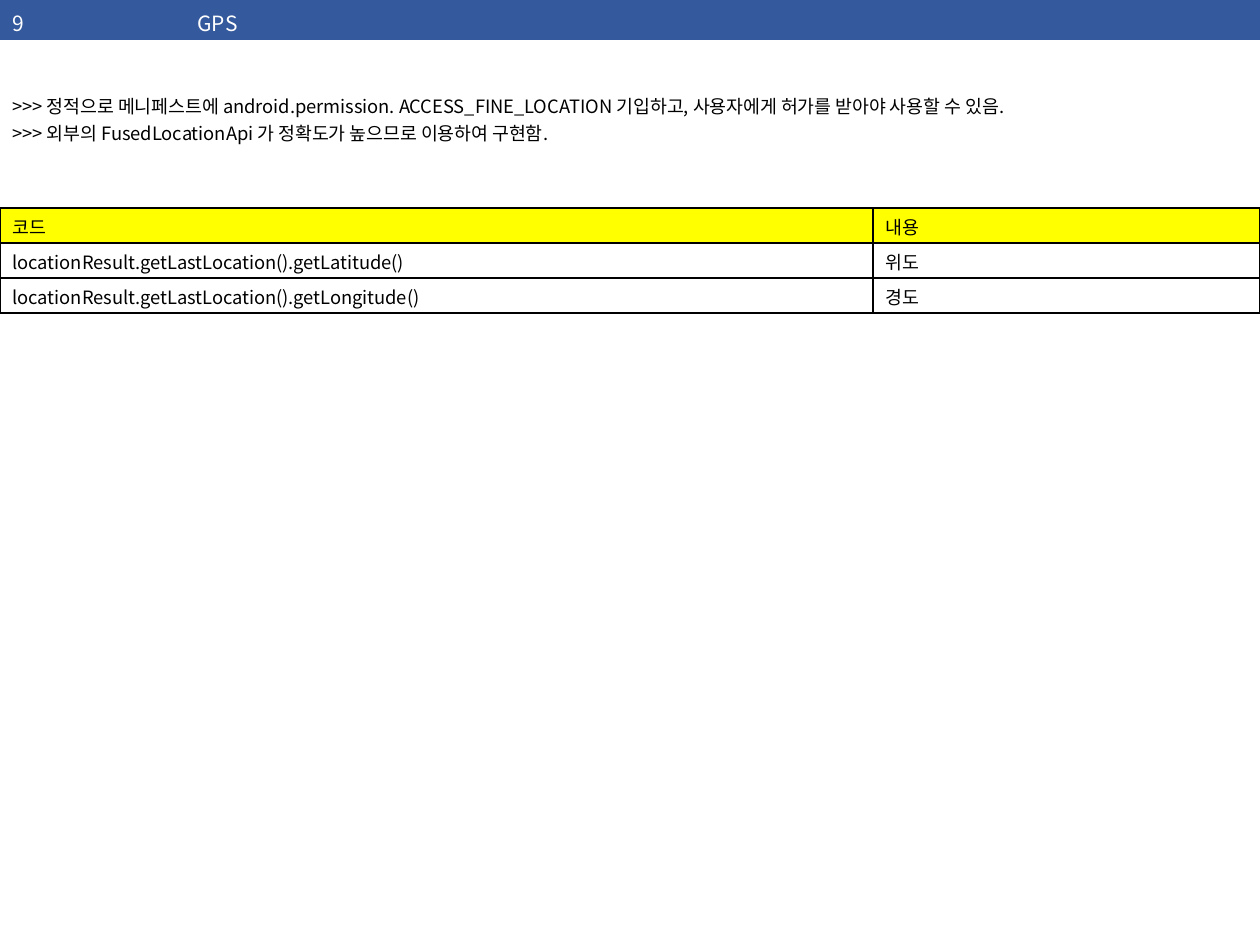
from dataclasses import dataclass

import pptx
import pptx.dml.color
import pptx.enum.text
import pptx.oxml
import pptx.oxml.ns
import pptx.util

PX = 914400 // 126
FONT = "Noto Sans CJK KR"
BLACK, WHITE, BLUE, YELLOW = "000000", "FFFFFF", "34599C", "FFFF00"
MIDDLE = pptx.enum.text.MSO_ANCHOR.MIDDLE
TOP = pptx.enum.text.MSO_ANCHOR.TOP


@dataclass
class Grid:
    top: int
    row_height: int
    columns: list[int]
    rows: list[list[str]]
    header_fill: str
    size: float
    color: str
    borders: dict[str, str]
    border_width: float


def px(n: int) -> int:
    return n * PX


def rgb(value: str) -> pptx.dml.color.RGBColor:
    return pptx.dml.color.RGBColor.from_string(value)


def write(p, text: str, *, size: float, color: str, spacing: float = 1.0) -> None:
    p.line_spacing = spacing
    r = p.add_run()
    r.text = text
    r.font.name = FONT
    r.font.size = pptx.util.Pt(size)
    r.font.color.rgb = rgb(color)
    ea = pptx.oxml.parse_xml(f'<a:ea {pptx.oxml.ns.nsdecls("a")} typeface="{FONT}"/>')
    r.font._element.find(pptx.oxml.ns.qn("a:latin")).addnext(ea)


def set_borders(cell, borders: dict[str, str], width: float) -> None:
    props = cell._tc.get_or_add_tcPr()
    for i, side in enumerate("LRTB"):
        color = borders.get(side)
        paint = f'<a:solidFill><a:srgbClr val="{color}"/></a:solidFill>' if color else "<a:noFill/>"
        props.insert(i, pptx.oxml.parse_xml(
            f'<a:ln{side} {pptx.oxml.ns.nsdecls("a")} w="{pptx.util.Pt(width)}">{paint}</a:ln{side}>'))


def draw_grid(s, grid: Grid) -> None:
    frame = s.shapes.add_table(
        len(grid.rows), len(grid.columns), 0, px(grid.top),
        px(sum(grid.columns)), px(grid.row_height * len(grid.rows)))
    table = frame.table
    table.horz_banding = False
    for column, width in zip(table.columns, grid.columns):
        column.width = px(width)
    for i, values in enumerate(grid.rows):
        table.rows[i].height = px(grid.row_height)
        for j, text in enumerate(values):
            cell = table.cell(i, j)
            cell.margin_top, cell.margin_bottom = px(5), px(3)
            cell.vertical_anchor = TOP if i else MIDDLE
            if i:
                cell.fill.background()
            else:
                cell.fill.solid()
                cell.fill.fore_color.rgb = rgb(grid.header_fill)
            set_borders(cell, grid.borders, grid.border_width)
            write(cell.text_frame.paragraphs[0], text, size=grid.size, color=grid.color)


def draw_notes(s, lines: list[str]) -> None:
    tf = s.shapes.add_textbox(0, px(91), px(1260), px(68)).text_frame
    tf.word_wrap = True
    tf.margin_top = px(4)
    tf.margin_bottom = px(4)
    for i, line in enumerate(lines):
        p = tf.add_paragraph() if i else tf.paragraphs[0]
        write(p, line, size=10.5, color=BLACK, spacing=1.25 if i else 1.0)


def main() -> None:
    prs = pptx.Presentation()
    prs.slide_width = pptx.util.Inches(10)
    prs.slide_height = pptx.util.Inches(7.5)
    s = prs.slides.add_slide(prs.slide_layouts[6])
    draw_grid(s, Grid(
        top=0, row_height=42, columns=[185, 1075], rows=[["9", "GPS"]],
        header_fill=BLUE, size=12, color=WHITE,
        borders={"B": WHITE}, border_width=2))
    draw_notes(s, [
        ">>> 정적으로 메니페스트에 android.permission. ACCESS_FINE_LOCATION 기입하고, "
        "사용자에게 허가를 받아야 사용할 수 있음.",
        ">>> 외부의 FusedLocationApi 가 정확도가 높으므로 이용하여 구현함.",
    ])
    draw_grid(s, Grid(
        top=208, row_height=35, columns=[873, 387],
        rows=[
            ["코드", "내용"],
            ["locationResult.getLastLocation().getLatitude()", "위도"],
            ["locationResult.getLastLocation().getLongitude()", "경도"],
        ],
        header_fill=YELLOW, size=10.5, color=BLACK,
        borders=dict.fromkeys("LRTB", BLACK), border_width=1))
    prs.save("out.pptx")


if __name__ == "__main__":
    main()
